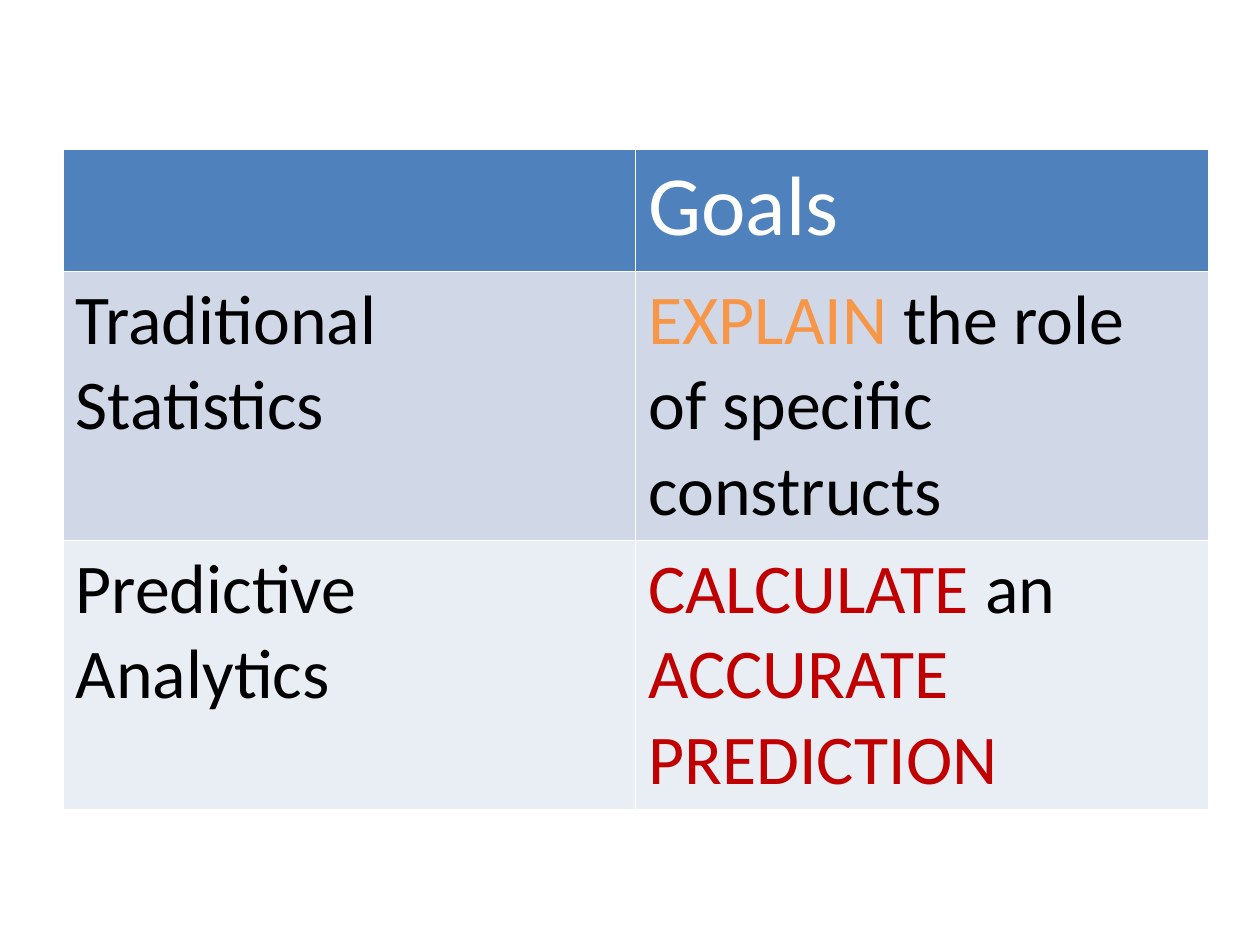
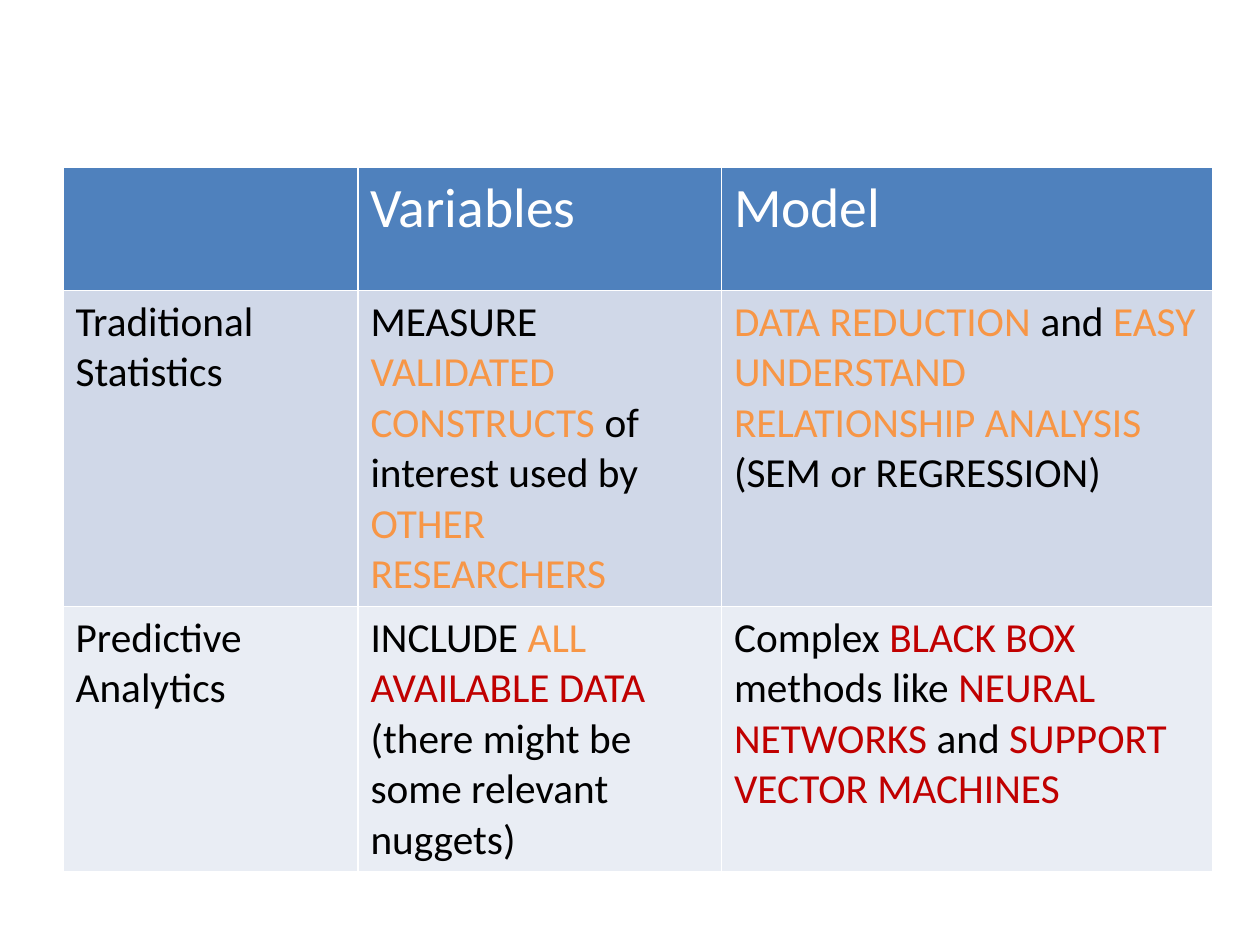
from lxml.etree import SubElement
from pptx import Presentation
from pptx.dml.color import RGBColor
from pptx.oxml.ns import qn
from pptx.util import Cm, Pt

WIDE, HIGH = Cm(28), Cm(21)
FONT = "Calibri"
WHITE, BLACK, GOLD, RED = "FFFFFF", "000000", "F79646", "C00000"
BANDS = ["4F81BD", "D0D8E8", "E9EDF4"]
LEFT = 5


def across(part):
    """Return a percentage of the slide's width."""
    return round(WIDE * part / 100)


def down(part):
    """Return a percentage of the slide's height."""
    return round(HIGH * part / 100)


def color(code):
    """Turn a hex string into a colour."""
    return RGBColor.from_string(code)


def write(frame, runs, size=18, ink=BLACK):
    """Write plain text, or runs of text paired with a colour."""
    if isinstance(runs, str):
        runs = [(runs, ink)]
    for text, tint in runs:
        run = frame.paragraphs[0].add_run()
        run.text = text
        run.font.name = FONT
        run.font.size = Pt(size)
        run.font.bold = False
        run.font.color.rgb = color(tint)


def edge(cell, side):
    """Draw one white border of a cell."""
    line = SubElement(cell._tc.get_or_add_tcPr(), qn(f"a:ln{side}"), w=str(Pt(1)))
    fill = SubElement(line, qn("a:solidFill"))
    SubElement(fill, qn("a:srgbClr"), val=WHITE)


def style(cell, band):
    """Set the borders, fill and margins of a cell."""
    for side in "LRTB":
        edge(cell, side)
    cell.fill.solid()
    cell.fill.fore_color.rgb = color(band)
    cell.margin_left = cell.margin_right = Pt(8)
    cell.margin_top = cell.margin_bottom = Pt(4)


def grid(deck, data, top, cols, rows, sizes):
    """Add a slide with a table measured in percentages of the slide."""
    slide = deck.slides.add_slide(deck.slide_layouts[6])
    table = slide.shapes.add_table(
        len(rows), len(cols), across(LEFT), down(top), across(sum(cols)), down(sum(rows))
    ).table
    table.horz_banding = False
    for col, part in zip(table.columns, cols):
        col.width = across(part)
    for i, (row, part, band) in enumerate(zip(table.rows, rows, BANDS)):
        row.height = down(part)
        size, ink = (sizes[1], BLACK) if i else (sizes[0], WHITE)
        for cell, runs in zip(row.cells, data[i]):
            style(cell, band)
            if runs:
                write(cell.text_frame, runs, size=size, ink=ink)


def main():
    """Build and save both slides."""
    deck = Presentation()
    deck.slide_width = WIDE
    deck.slide_height = HIGH
    old, new = "Traditional Statistics", "Predictive Analytics"
    goals = [
        ["", "Goals"],
        [old, [("EXPLAIN", GOLD), (" the role of specific constructs", BLACK)]],
        [new, [("CALCULATE", RED), (" an ", BLACK), ("ACCURATE PREDICTION", RED)]],
    ]
    means = [
        ["", "Variables", "Model"],
        [
            old,
            [("MEASURE ", BLACK), ("VALIDATED CONSTRUCTS ", GOLD),
             ("of interest used by ", BLACK), ("OTHER RESEARCHERS", GOLD)],
            [("DATA REDUCTION ", GOLD), ("and ", BLACK),
             ("EASY UNDERSTAND RELATIONSHIP ANALYSIS ", GOLD),
             ("(SEM or REGRESSION)", BLACK)],
        ],
        [
            new,
            [("INCLUDE ", BLACK), ("ALL ", GOLD), ("AVAILABLE DATA ", RED),
             ("(there might be some relevant nuggets)", BLACK)],
            [("Complex", BLACK), (" BLACK BOX ", RED), ("methods like ", BLACK),
             ("NEURAL NETWORKS ", RED), ("and", BLACK),
             (" SUPPORT VECTOR MACHINES", RED)],
        ],
    ]
    grid(deck, goals, top=15.75, cols=[45.45, 45.45], rows=[13, 28, 28], sizes=(53, 44))
    grid(deck, means, top=17.75, cols=[23.4, 28.85, 39], rows=[13, 33.4, 28], sizes=(35, 26))
    deck.save("out.pptx")


if __name__ == "__main__":
    main()
